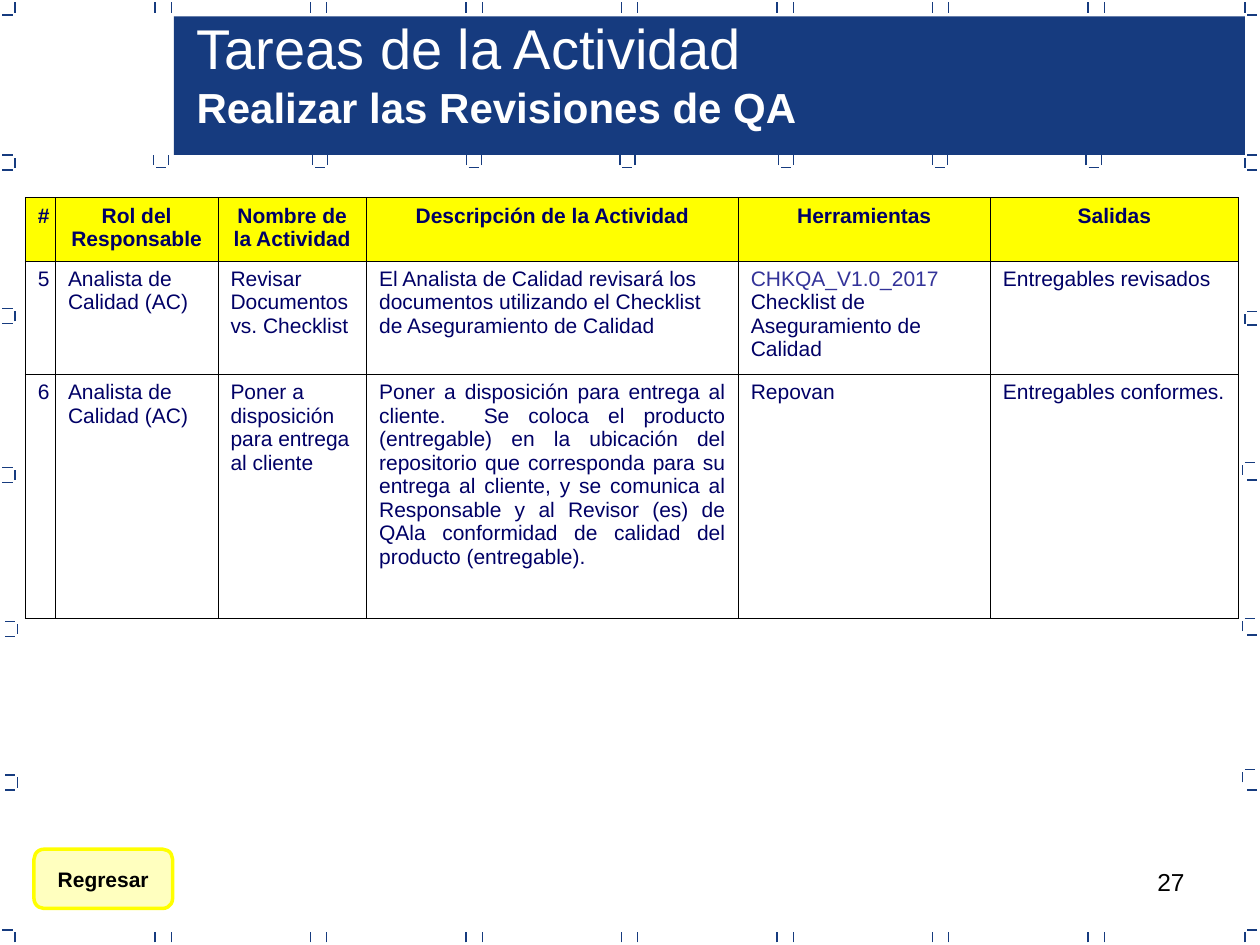
from lxml.etree import SubElement
from pptx import Presentation
from pptx.dml.color import RGBColor
from pptx.enum.shapes import MSO_CONNECTOR as Link, MSO_SHAPE as Form
from pptx.enum.text import MSO_ANCHOR as Anchor, MSO_AUTO_SIZE as Auto, PP_ALIGN as Align
from pptx.oxml import parse_xml
from pptx.oxml.ns import nsdecls, qn
from pptx.util import Inches, Pt

NAVY = RGBColor(0x16, 0x3B, 0x7F)
INK = RGBColor(0x00, 0x00, 0x66)
CODE = RGBColor(0x33, 0x33, 0x99)
YELLOW = RGBColor(0xFF, 0xFF, 0x00)
WHITE = RGBColor(0xFF, 0xFF, 0xFF)
BLACK = RGBColor(0x00, 0x00, 0x00)

COLS, ROWS = 100, 75  # slide grid
DASH, GAP = 0.8, 0.2  # tick length, space at a corner

# Left and right edge marks: column of the upright, row of its top
LEFT = [(1.2, 12.5), (1.2, 24.7), (1.2, 37.3), (1.4, 49.5), (1.4, 61.7)]
RIGHT = [(98.8, 12.5, 13.5), (98.8, 24.9, 25.8), (98.6, 36.9, 38.1),
         (98.6, 49.3, 50.4), (98.6, 61.3, 62.7)]
CUPS = [12.2, 24.8, 37, 49.2, 61.8, 74, 86.2]  # marks under the band

WIDTHS = [2.4, 12.9, 11.8, 29.5, 20, 19.7]
HEIGHTS = [5, 9, 19.4]
HEADS = ["#", "Rol del Responsable", "Nombre de la Actividad",
         "Descripción de la Actividad", "Herramientas", "Salidas"]
TASKS = [
    ["5", "Analista de Calidad (AC)", "Revisar Documentos vs. Checklist",
     "El Analista de Calidad revisará los documentos utilizando el Checklist "
     "de Aseguramiento de Calidad",
     [("CHKQA_V1.0_2017 ", CODE), ("Checklist de Aseguramiento de Calidad", INK)],
     "Entregables revisados"],
    ["6", "Analista de Calidad (AC)", "Poner a disposición para entrega al cliente",
     "Poner a disposición para entrega al cliente.  Se coloca el producto "
     "(entregable) en la ubicación del repositorio que corresponda para su "
     "entrega al cliente, y se comunica al Responsable y al Revisor (es) de "
     "QAla conformidad de calidad del producto (entregable).",
     "Repovan", "Entregables conformes."],
]


class Page:
    """Holds the style and the current slide; lengths are grid columns and rows."""

    def __init__(self, deck):
        self.col = deck.slide_width / COLS
        self.row = deck.slide_height / ROWS
        self.face = {"name": "Arial", "size": Pt(12), "bold": False}
        self.slide = deck.slides.add_slide(deck.slide_layouts[5])
        self.shapes = self.slide.shapes

    def x(self, n):
        return round(n * self.col)

    def y(self, n):
        return round(n * self.row)

    def box(self, left, top, wide, high):
        return self.x(left), self.y(top), self.x(wide), self.y(high)

    def text(self, para, text, color, align=Align.LEFT, **font):
        """Fill a paragraph with a string or with (text, colour) runs."""
        para.alignment = align
        parts = [(text, color)] if isinstance(text, str) else text
        for words, tint in parts:
            run = para.add_run()
            run.text = words
            for key, value in {**self.face, **font}.items():
                setattr(run.font, key, value)
            run.font.color.rgb = tint

    def line(self, left, top, right, low):
        tick = self.shapes.add_connector(
            Link.STRAIGHT, self.x(left), self.y(top), self.x(right), self.y(low))
        tick.line.color.rgb = NAVY
        tick.line.width = Pt(0.75)
        SubElement(tick._element.spPr, qn("a:effectLst"))

    def post(self, left, top):
        self.line(left, top + DASH, left, top)

    def bar(self, left, top):
        self.line(left, top, left + DASH, top)

    def shape(self, form, place, fill):
        item = self.shapes.add_shape(form, *self.box(*place))
        item.shadow.inherit = False
        item.fill.solid()
        item.fill.fore_color.rgb = fill
        item.line.fill.background()
        return item

    def button(self, place, text):
        item = self.shape(Form.FLOWCHART_ALTERNATE_PROCESS, place, YELLOW)
        tint = item._element.spPr.find(qn("a:solidFill"))[0]
        SubElement(tint, qn("a:alpha"), val="25000")
        item.line.color.rgb = YELLOW
        item.line.width = Pt(2)
        item.text_frame.word_wrap = False
        item.text_frame.vertical_anchor = Anchor.MIDDLE
        self.text(item.text_frame.paragraphs[0], text, BLACK, Align.CENTER, bold=True)

    def number(self, place, text):
        frame = self.shapes.add_textbox(*self.box(*place)).text_frame
        frame.word_wrap = True
        self.text(frame.paragraphs[0], text, BLACK, Align.RIGHT, size=Pt(14))

    def title(self, place, head, sub):
        item = self.shapes.title
        item.left, item.top, item.width, item.height = self.box(*place)
        self.shapes._spTree.append(item._element)  # above the band
        frame = item.text_frame
        for key, value in {"word_wrap": True, "auto_size": Auto.NONE,
                           "vertical_anchor": Anchor.TOP}.items():
            setattr(frame, key, value)
        self.text(frame.paragraphs[0], head, WHITE, size=Pt(32))
        self.text(frame.add_paragraph(), sub, WHITE, size=Pt(24), bold=True)

    def edge(self, cell):
        for side in ("lnL", "lnR", "lnT", "lnB"):
            cell._tc.get_or_add_tcPr().append(parse_xml(
                f'<a:{side} {nsdecls("a")} w="5715"><a:solidFill>'
                f'<a:srgbClr val="{BLACK}"/></a:solidFill></a:{side}>'))

    def table(self, left, top, data):
        place = self.box(left, top, sum(WIDTHS), sum(HEIGHTS))
        grid = self.shapes.add_table(len(data), len(WIDTHS), *place).table
        grid.first_row = grid.horz_banding = False
        for col, wide in zip(grid.columns, WIDTHS):
            col.width = self.x(wide)
        for row, high in zip(grid.rows, HEIGHTS):
            row.height = self.y(high)
        for r, texts in enumerate(data):
            for c, text in enumerate(texts):
                cell = grid.cell(r, c)
                self.edge(cell)
                if r == 0:
                    cell.fill.solid()
                    cell.fill.fore_color.rgb = YELLOW
                else:
                    cell.fill.background()
                align = Align.CENTER if r == 0 or c == 0 else Align.LEFT
                if (r, c) == (2, 3):
                    align = Align.JUSTIFY
                self.text(cell.text_frame.paragraphs[0], text, INK, align, bold=r == 0)

    def frame(self):
        """Draw the broken border of ticks around the slide and the band."""
        for i in range(7):
            for left in (12.3 + 12.34 * i, 13.6 + 12.34 * i):
                for top in (0.2, 74):
                    self.post(left, top)
        for left, start in ((1.2, 0.2), (98.8, 99)):
            for top, level in ((0.2, 1.2), (74, 73.8)):
                self.post(left, top)
                self.bar(start, level)
        for left, top in LEFT:
            self.post(left, top)
            for level in (top - GAP, top + DASH + GAP):
                self.bar(left - GAP - DASH, level)
        for left, top, low in RIGHT:
            self.post(left, top)
            self.bar(left + GAP, top - GAP)
            self.bar(99, low)
        for left in CUPS:
            self.post(left, 12.3)
            self.post(left + 1.2, 12.3)
            self.bar(left + GAP, 13.3)


def main():
    deck = Presentation()
    deck.slide_width, deck.slide_height = Inches(10), Inches(7.5)
    page = Page(deck)
    page.number((71.7, 68.3, 23.3, 5.2), "27")
    page.shape(Form.RECTANGLE, (13.8, 1.3, 85, 11), NAVY)
    page.frame()
    page.table(2, 15.7, [HEADS] + TASKS)
    page.title((14.6, 0.6, 65.4, 10.4), "Tareas de la Actividad",
               "Realizar las Revisiones de QA")
    page.button((2.7, 67.4, 11, 4.7), "Regresar")
    deck.save("out.pptx")


if __name__ == "__main__":
    main()
